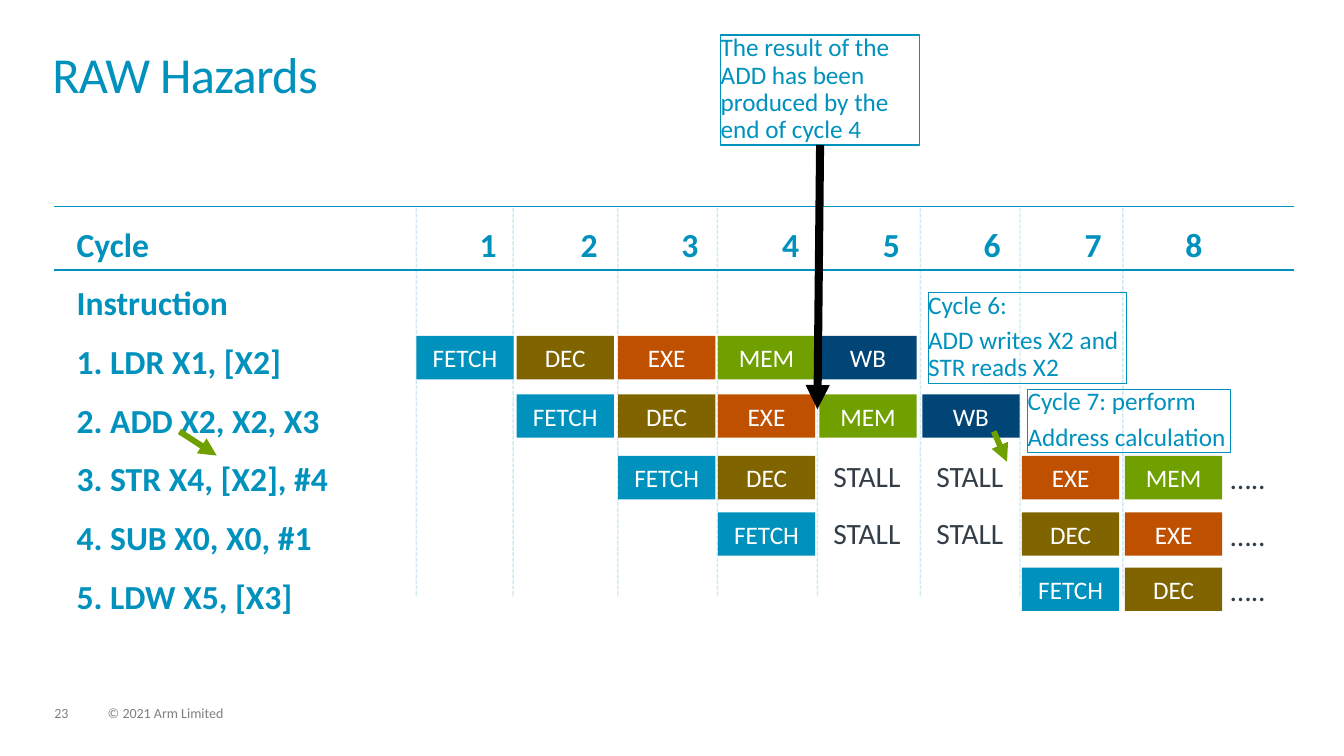
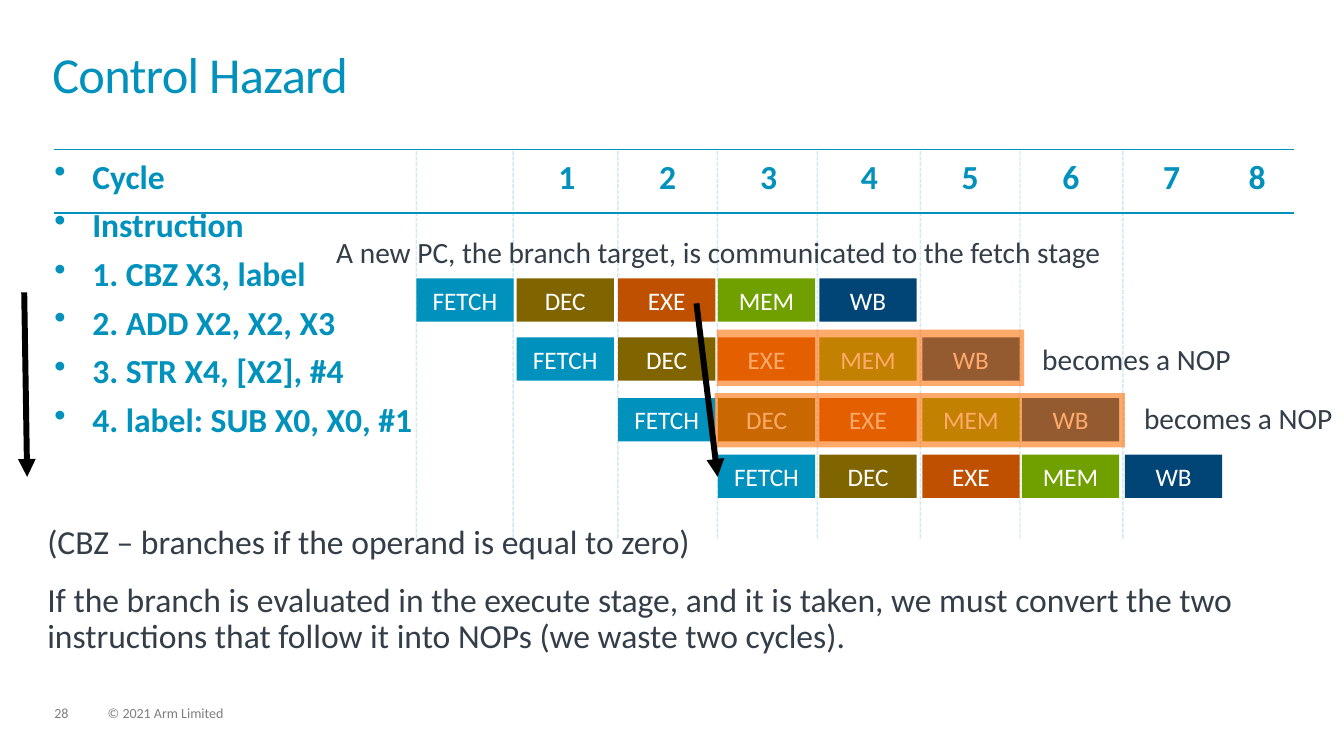
from dataclasses import dataclass, field
from typing import Any, NamedTuple

from lxml import etree
from pptx import Presentation
from pptx import util as u
from pptx.dml.color import RGBColor
from pptx.enum import dml, shapes, text
from pptx.oxml.ns import qn

Pt = u.Pt


class Style(NamedTuple):
    size: float
    color: str
    bold: bool = False
    spacing: int = 0  # letter spacing, hundredths of a point


@dataclass(frozen=True)
class Theme:
    font: str = "Calibri"
    blue: str = "0091BD"
    green: str = "70A000"
    black: str = "000000"
    squash: str = "FF6B00"
    stages: dict[str, str] = field(default_factory=lambda: {
        "FETCH": "0091BD", "DEC": "806400", "EXE": "BF5000",
        "MEM": "70A000", "WB": "004575"})
    title: Style = Style(36, "0091BD", spacing=-50)
    label: Style = Style(24, "0091BD", bold=True)
    body: Style = Style(24, "333E48")
    note: Style = Style(21, "333E48")
    callout: Style = Style(18, "0091BD")
    block: Style = Style(18, "FFFFFF")
    footer: Style = Style(10, "7F7F7F")


T = Theme()
WIDTH, HEIGHT = 960, 540
MARGIN, RULE_END = 38.9, 924.5
BLOCK_W, BLOCK_H = 69.5, 31
COLUMNS = (297.4, 369, 441.5, 512.8, 585.3, 658.8, 730, 803.6)
CYCLE_LINES = (297.4, 366.5, 441.4, 512.4, 583.9, 657.4, 728.6, 802.1)
ALL_STAGES = "FETCH DEC EXE MEM WB"

COMPACT = {"line_spacing": 0.9, "space_after": Pt(6)}
LOOSE = {"line_spacing": 0.9, "space_after": Pt(16)}
CENTERED = {"alignment": text.PP_ALIGN.CENTER}


class Box(NamedTuple):
    left: float
    top: float
    width: float
    height: float

    def emu(self) -> list[int]:
        return [Pt(v) for v in self]


class Row(NamedTuple):
    """One instruction's way through the pipeline."""
    top: float
    start: int
    stages: str
    more: bool = False


class Arrow(NamedTuple):
    x1: float
    y1: float
    x2: float
    y2: float
    color: str
    weight: float = 4.25


def sub(parent: Any, tag: str, **attrs: Any) -> Any:
    return etree.SubElement(parent, qn(tag), {k: str(v) for k, v in attrs.items()})


def rgb(value: str) -> RGBColor:
    return RGBColor.from_string(value)


def set_alpha(fill_parent: Any, percent: int) -> None:
    color = next(fill_parent.iter(qn("a:srgbClr")))
    sub(color, "a:alpha", val=percent * 1000)


def add_bullet(p: Any) -> None:
    pPr = p._p.get_or_add_pPr()
    pPr.set("marL", str(Pt(27)))
    pPr.set("indent", str(-Pt(27)))
    sub(sub(pPr, "a:buClr"), "a:srgbClr", val=T.blue)
    sub(pPr, "a:buChar", char="•")


def add_tabs(p: Any, stops: list[float]) -> None:
    tabs = sub(p._p.get_or_add_pPr(), "a:tabLst")
    for stop in stops:
        sub(tabs, "a:tab", pos=Pt(stop), algn="l")


def write(sp: Any, lines: list[str], style: Style, form: dict[str, Any],
          wrap: bool = True, anchor: Any = text.MSO_ANCHOR.TOP,
          bullets: bool = False, before: float = 0,
          tabs: list[float] | None = None) -> None:
    """Fill a shape with one paragraph per line."""
    tf = sp.text_frame
    frame = {"word_wrap": wrap, "vertical_anchor": anchor, "margin_left": 0,
             "margin_right": 0, "margin_top": 0, "margin_bottom": 0}
    for name, value in frame.items():
        setattr(tf, name, value)
    font = {"name": T.font, "size": Pt(style.size), "bold": style.bold}
    for i, line in enumerate(lines):
        p = tf.add_paragraph() if i else tf.paragraphs[0]
        if bullets:
            add_bullet(p)
        if tabs:
            add_tabs(p, tabs)
        spacing = {"space_before": Pt(before)} if before and i else {}
        for name, value in {"alignment": text.PP_ALIGN.LEFT, **form, **spacing}.items():
            setattr(p, name, value)
        r = p.add_run()
        r.text = line
        for name, value in font.items():
            setattr(r.font, name, value)
        r.font.color.rgb = rgb(style.color)
        if style.spacing:
            r._r.get_or_add_rPr().set("spc", str(style.spacing))


def add_text(s: Any, box: Box, lines: list[str], style: Style,
             form: dict[str, Any] = COMPACT, **options: Any) -> None:
    write(s.shapes.add_textbox(*box.emu()), lines, style, form, **options)


def add_rect(s: Any, box: Box, fill: str | None = None, alpha: int = 100,
             line: str | None = None) -> Any:
    sp = s.shapes.add_shape(shapes.MSO_SHAPE.RECTANGLE, *box.emu())
    sp.shadow.inherit = False
    if fill:
        sp.fill.solid()
        sp.fill.fore_color.rgb = rgb(fill)
        if alpha < 100:
            set_alpha(sp._element.spPr, alpha)
    else:
        sp.fill.background()
    if line:
        sp.line.color.rgb = rgb(line)
        sp.line.width = Pt(0.75)
    else:
        sp.line.fill.background()
    return sp


def add_line(s: Any, x1: float, y1: float, x2: float, y2: float,
             color: str = T.blue, weight: float = 1) -> Any:
    cx = s.shapes.add_connector(shapes.MSO_CONNECTOR.STRAIGHT,
                                Pt(x1), Pt(y1), Pt(x2), Pt(y2))
    cx.line.color.rgb = rgb(color)
    cx.line.width = Pt(weight)
    sub(cx._element.spPr, "a:effectLst")
    return cx


def add_arrow(s: Any, arrow: Arrow) -> Any:
    cx = add_line(s, *arrow)
    sub(cx.line._get_or_add_ln(), "a:tailEnd", type="triangle")
    return cx


def add_callout(s: Any, box: Box, lines: list[str]) -> Any:
    sp = add_rect(s, box, line=T.blue)
    write(sp, lines, T.callout, COMPACT)
    return sp


def add_base(prs: Any, title: str, number: str) -> Any:
    """Add a slide with the shared title and footer."""
    s = prs.slides.add_slide(prs.slide_layouts[6])
    add_text(s, Box(MARGIN, 504.7, 24.5, 11), [number], T.footer)
    add_text(s, Box(77, 504.7, 365, 11), ["© 2021 Arm Limited"], T.footer)
    add_text(s, Box(37.4, 37.4, 884, 52), [title], T.title, {"line_spacing": 0.85})
    return s


def add_cycle_grid(s: Any, top: float) -> None:
    for y in (top, top + 45.5):
        add_line(s, MARGIN, y, RULE_END, y)
    for x in CYCLE_LINES:
        cx = add_line(s, x, top + 1, x, top + 279)
        cx.line.dash_style = dml.MSO_LINE.SQUARE_DOT
        set_alpha(cx._element.spPr, 18)


def add_cycle_numbers(s: Any, left: float, top: float, last_stop: float,
                      form: dict[str, Any]) -> None:
    stops = [72 * i for i in range(1, 7)] + [last_stop]
    numbers = "\t".join(str(n) for n in range(1, 9))
    add_text(s, Box(left, top, last_stop + 36, 32), [numbers], T.label, form, tabs=stops)


def add_pipeline(s: Any, rows: list[Row]) -> None:
    for row in rows:
        for x, stage in zip(COLUMNS[row.start:], row.stages.split()):
            if stage == "STALL":
                add_text(s, Box(x + 10, row.top + 4.5, 48, 23), [stage], T.note, wrap=False)
                continue
            sp = add_rect(s, Box(x, row.top, BLOCK_W, BLOCK_H), T.stages[stage])
            write(sp, [stage], T.block, CENTERED, anchor=text.MSO_ANCHOR.MIDDLE)
        if row.more:
            add_text(s, Box(879, row.top + 6, 56, 23), ["….."], T.note)


def build_raw_hazards(prs: Any) -> None:
    s = add_base(prs, "RAW Hazards", "23")
    add_text(s, Box(54.7, 163, 240, 280),
             ["Cycle", "Instruction", "1. LDR X1, [X2]", "2. ADD X2, X2, X3",
              "3. STR X4, [X2], #4", "4. SUB X0, X0, #1", "5. LDW X5, [X3]"],
             T.label, LOOSE)
    add_cycle_numbers(s, 342.7, 163, 504, LOOSE)
    add_cycle_grid(s, 147.4)
    add_pipeline(s, [
        Row(240, 0, ALL_STAGES),
        Row(281.7, 1, ALL_STAGES),
        Row(325.7, 2, "FETCH DEC STALL STALL EXE MEM", more=True),
        Row(366, 3, "FETCH STALL STALL DEC EXE", more=True),
        Row(405.4, 6, "FETCH DEC", more=True),
    ])
    for arrow in (Arrow(128.2, 308.2, 154.8, 325.4, T.green),
                  Arrow(709.9, 308.2, 719.3, 329.8, T.green)):
        add_arrow(s, arrow)
    add_callout(s, Box(663, 208.8, 142, 65), ["Cycle 6:", "ADD writes X2 and STR reads X2"])
    add_callout(s, Box(734, 277.9, 145, 45.4), ["Cycle 7: perform", "Address calculation"])
    result = add_callout(s, Box(514.8, 25, 142, 78.6),
                         ["The result of the ADD has been produced by the end of cycle 4"])
    cx = add_arrow(s, Arrow(585.8, 103.6, 583.9, 292.3, T.black, 5.75))
    cx.begin_connect(result, 2)


def build_control_hazard(prs: Any) -> None:
    s = add_base(prs, "Control Hazard", "28")
    add_text(s, Box(MARGIN, 111, 270, 215),
             ["Cycle", "Instruction", "1. CBZ X3, label", "2. ADD X2, X2, X3",
              "3. STR X4, [X2], #4", "4. label: SUB X0, X0, #1"],
             T.label, {}, bullets=True, before=6)
    add_cycle_numbers(s, 398.9, 111, 493, {})
    add_cycle_grid(s, 106.8)
    tops = (198.8, 241, 284.4, 324.7)
    add_pipeline(s, [Row(top, i, ALL_STAGES) for i, top in enumerate(tops)])
    for box in (Box(512, 235.4, 219.6, 40.3), Box(510.5, 280.8, 293, 38.9)):
        add_rect(s, box, T.squash, alpha=58)
    for arrow in (Arrow(497.5, 216.7, 512.6, 340.6, T.black),
                  Arrow(17.3, 208.8, 19.4, 340.6, T.black)):
        add_arrow(s, arrow)
    add_text(s, Box(33.8, 375, 880.6, 104),
             ["(CBZ – branches if the operand is equal to zero)",
              "If the branch is evaluated in the execute stage, and it is taken, "
              "we must convert the two instructions that follow it into NOPs "
              "(we waste two cycles)."], T.body, LOOSE)
    add_text(s, Box(214.6, 170, 597, 23),
             ["A new PC, the branch target, is communicated to the fetch stage"],
             T.note, {**COMPACT, **CENTERED})
    for x, y in ((744.5, 246.2), (817.2, 288.7)):
        add_text(s, Box(x, y, 141, 23), ["becomes a NOP"], T.note)


def main() -> None:
    prs = Presentation()
    prs.slide_width, prs.slide_height = Pt(WIDTH), Pt(HEIGHT)
    build_raw_hazards(prs)
    build_control_hazard(prs)
    prs.save("out.pptx")


if __name__ == "__main__":
    main()
